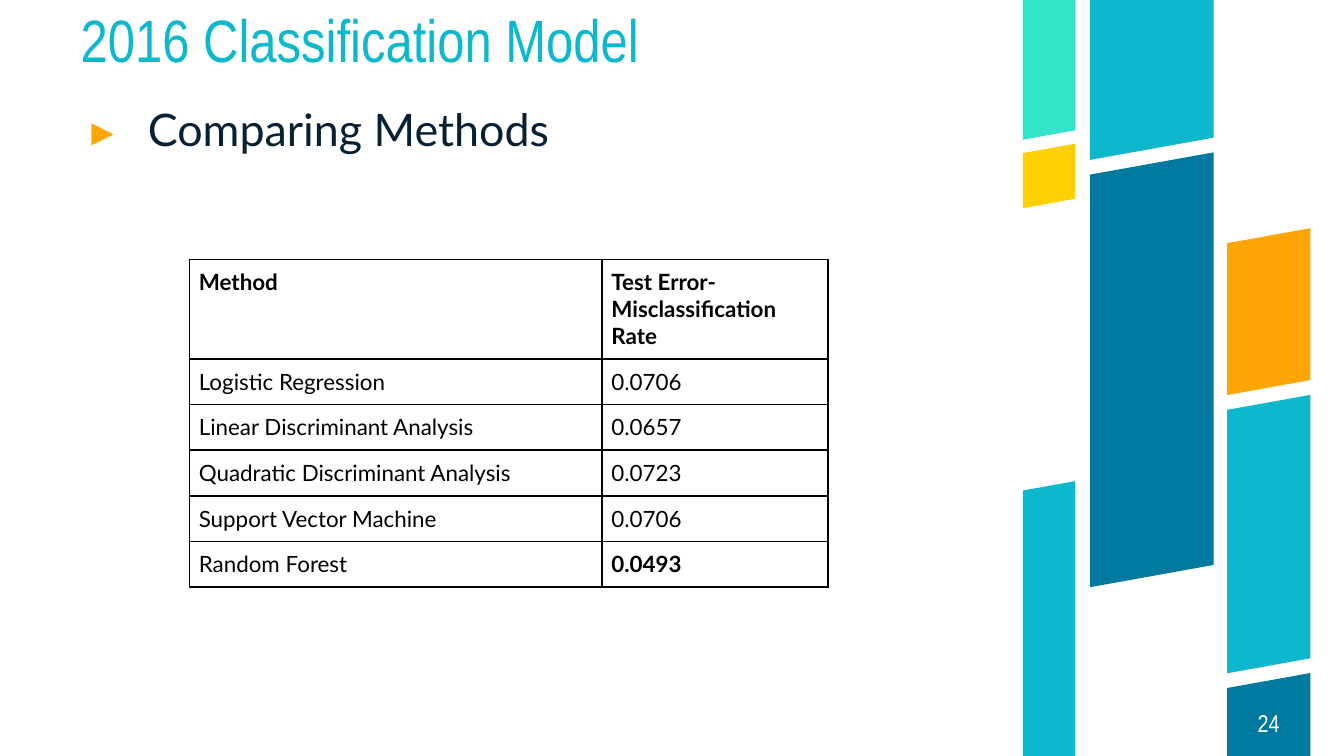
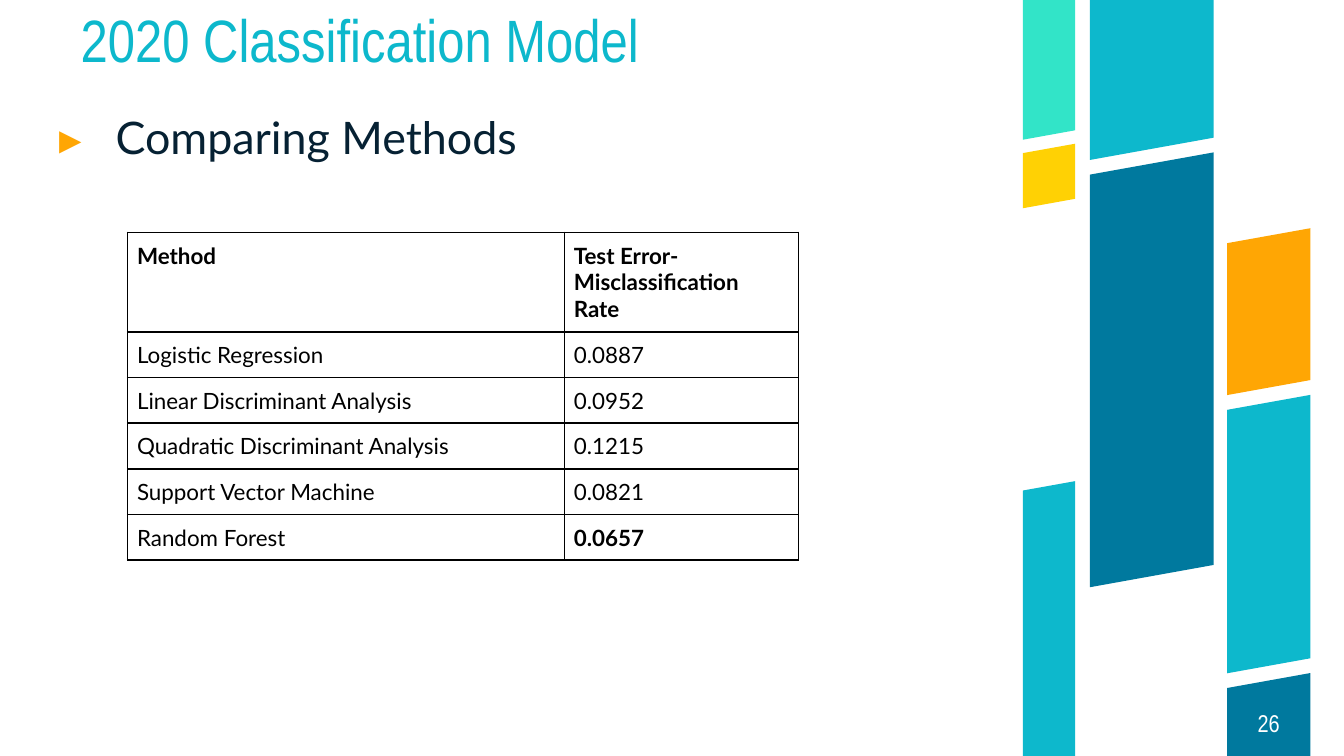
from lxml import etree
from pptx import Presentation
from pptx.dml.color import RGBColor
from pptx.enum.text import MSO_ANCHOR, MSO_AUTO_SIZE, PP_ALIGN
from pptx.oxml.ns import qn
from pptx.util import Inches, Pt

TOP, MIDDLE, BOTTOM = MSO_ANCHOR.TOP, MSO_ANCHOR.MIDDLE, MSO_ANCHOR.BOTTOM
LEFT, CENTER = PP_ALIGN.LEFT, PP_ALIGN.CENTER

CYAN = RGBColor(0x0D, 0xB8, 0xCC)
TEAL = RGBColor(0x00, 0x79, 0x9E)
MINT = RGBColor(0x32, 0xE4, 0xC8)
YELLOW = RGBColor(0xFF, 0xD1, 0x04)
ORANGE = RGBColor(0xFF, 0xA6, 0x04)
NAVY = RGBColor(0x06, 0x21, 0x33)
WHITE = RGBColor(0xFF, 0xFF, 0xFF)
BLACK = RGBColor(0x00, 0x00, 0x00)
HEAD_FONT, BODY_FONT = "Arial Narrow", "Lato"

WIDTH = 10
HEIGHT = WIDTH * 9 / 16
SLOPE = 0.18

# Column left and width, then the top and bottom of each band on its left edge
BANDS = [
    (7.61, 0.39, [(0, 1.04, MINT), (1.14, 1.55, YELLOW), (3.65, HEIGHT, CYAN)]),
    (8.11, 0.92, [(0, 1.19, CYAN), (1.3, 4.37, TEAL)]),
    (9.13, 0.62, [(1.81, 2.94, ORANGE), (3.05, 5.01, CYAN), (5.12, HEIGHT, TEAL)]),
]

HEADER = ("Method", "Test Error- Misclassification Rate")
METHODS = ["Logistic Regression", "Linear Discriminant Analysis",
           "Quadratic Discriminant Analysis", "Support Vector Machine", "Random Forest"]
SLIDES = [
    dict(title="2016 Classification Model", number="24", bullet_at=(0.6, 0.7),
         table_at=(1.41, 1.93), columns=(3.07, 1.68),
         rates=["0.0706", "0.0657", "0.0723", "0.0706", "0.0493"]),
    dict(title="2020 Classification Model", number="26", bullet_at=(0.36, 0.76),
         table_at=(0.95, 1.73), columns=(3.25, 1.74),
         rates=["0.0887", "0.0952", "0.1215", "0.0821", "0.0657"]),
]


def write(tf, text, size, font, color, align=LEFT, anchor=TOP, spacing=1.0, bullet=None):
    tf.word_wrap = True
    tf.auto_size = MSO_AUTO_SIZE.NONE
    tf.vertical_anchor = anchor
    tf.margin_left = tf.margin_right = tf.margin_top = tf.margin_bottom = 0
    p = tf.paragraphs[0]
    p.alignment, p.line_spacing = align, spacing
    if bullet:
        pPr = p._p.get_or_add_pPr()
        pPr.set("marL", str(Inches(0.5)))
        pPr.set("indent", str(Inches(-0.42)))
        clr = etree.SubElement(pPr, qn("a:buClr"))
        etree.SubElement(clr, qn("a:srgbClr"), val=str(ORANGE))
        etree.SubElement(pPr, qn("a:buFont"), typeface=font)
        etree.SubElement(pPr, qn("a:buChar"), char=bullet)
    r = p.add_run()
    r.text = text
    r.font.size, r.font.name = Pt(size), font
    r.font.color.rgb = color


def fill_cell(cell, text, bold):
    """Write a cell's text and give it thin black borders and no fill."""
    cell.margin_left = cell.margin_right = Inches(0.07)
    cell.margin_top = cell.margin_bottom = Inches(0.07)
    r = cell.text_frame.paragraphs[0].add_run()
    r.text = text
    r.font.size, r.font.name, r.font.bold = Pt(12), BODY_FONT, bold
    r.font.color.rgb = BLACK
    tcPr = cell._tc.get_or_add_tcPr()
    for side in ("lnL", "lnR", "lnT", "lnB"):
        ln = etree.SubElement(tcPr, qn(f"a:{side}"), w=str(Pt(1)))
        solid = etree.SubElement(ln, qn("a:solidFill"))
        etree.SubElement(solid, qn("a:srgbClr"), val=str(BLACK))
    cell.fill.background()


prs = Presentation()
prs.slide_width, prs.slide_height = Inches(WIDTH), Inches(HEIGHT)
title_only = prs.slide_layouts[5]

for page in SLIDES:
    s = prs.slides.add_slide(title_only)

    for left, width, bands in BANDS:
        right, rise = left + width, SLOPE * width
        for top, bottom, color in bands:
            right_top = top - rise if top > 0 else top
            right_bottom = bottom - rise if bottom < HEIGHT else bottom
            outline = [(Inches(x), Inches(y)) for x, y in (
                (left, top), (right, right_top), (right, right_bottom), (left, bottom))]
            builder = s.shapes.build_freeform(*outline[0])
            builder.add_line_segments(outline[1:], close=True)
            sp = builder.convert_to_shape()
            sp.shadow.inherit = False
            sp.fill.solid()
            sp.fill.fore_color.rgb = color
            sp.line.fill.background()

    title = s.shapes.title
    title.left, title.top = Inches(0.6), Inches(0.13)
    title.width, title.height = Inches(6.68), Inches(0.43)
    write(title.text_frame, page["title"], 32, HEAD_FONT, CYAN, anchor=BOTTOM, spacing=0.9)

    left, top = page["bullet_at"]
    sp = s.shapes.add_textbox(Inches(left), Inches(top), Inches(6.68), Inches(3.32))
    write(sp.text_frame, "Comparing Methods", 24, BODY_FONT, NAVY, spacing=1.15, bullet="▸")

    sp = s.shapes.add_textbox(Inches(9.13), Inches(5.13), Inches(0.62), Inches(0.5))
    write(sp.text_frame, page["number"], 13, HEAD_FONT, WHITE, align=CENTER, anchor=MIDDLE)

    rows = [HEADER, *zip(METHODS, page["rates"])]
    left, top = page["table_at"]
    table = s.shapes.add_table(len(rows), len(HEADER), Inches(left), Inches(top),
                               Inches(sum(page["columns"])), Inches(2.44)).table
    table.first_row = table.horz_banding = False
    for column, width in zip(table.columns, page["columns"]):
        column.width = Inches(width)
    best = min(page["rates"])
    for i, row in enumerate(rows):
        table.rows[i].height = Inches(0.34 if i else 0.74)
        for j, text in enumerate(row):
            fill_cell(table.cell(i, j), text, bold=i == 0 or text == best)

prs.save("out.pptx")
